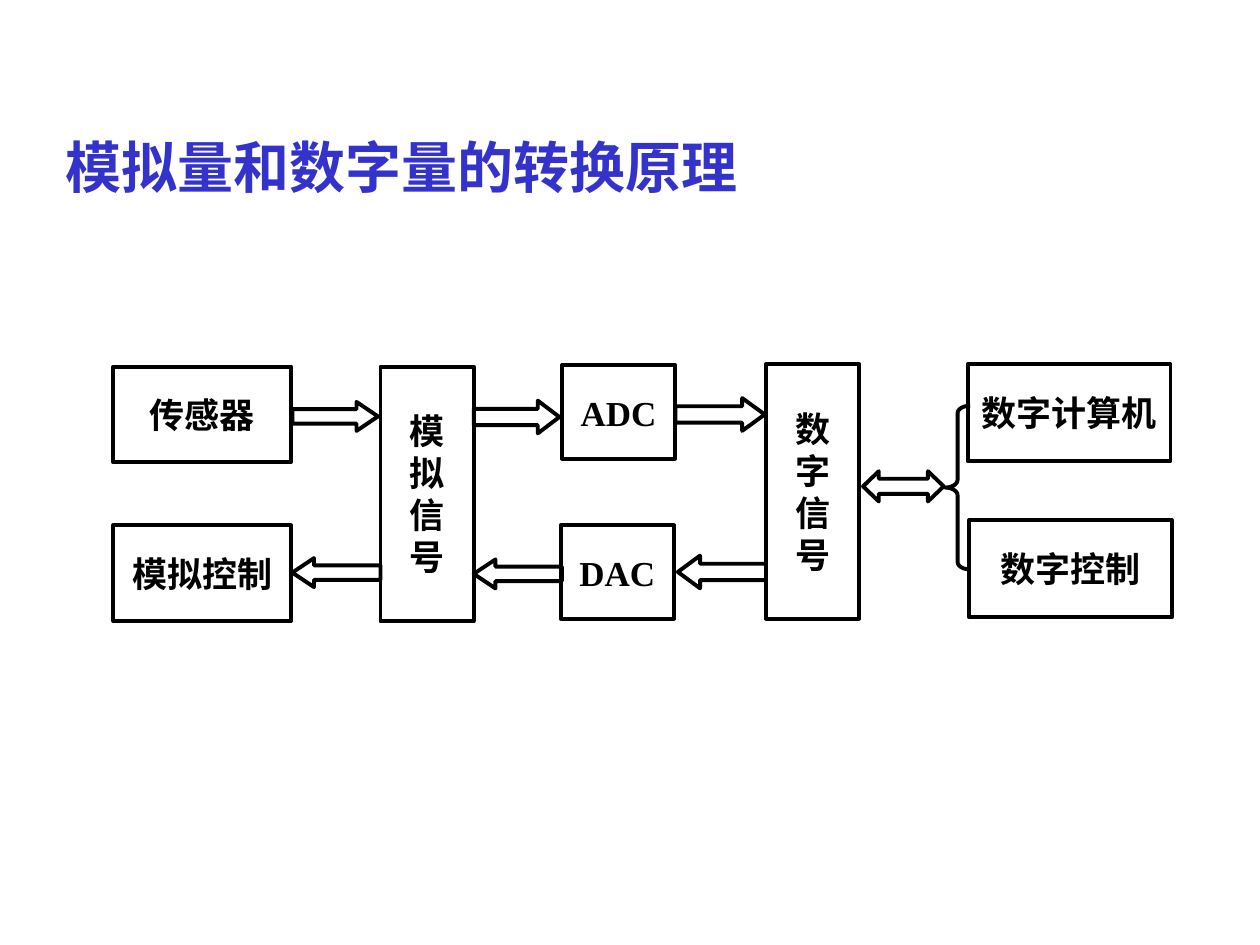
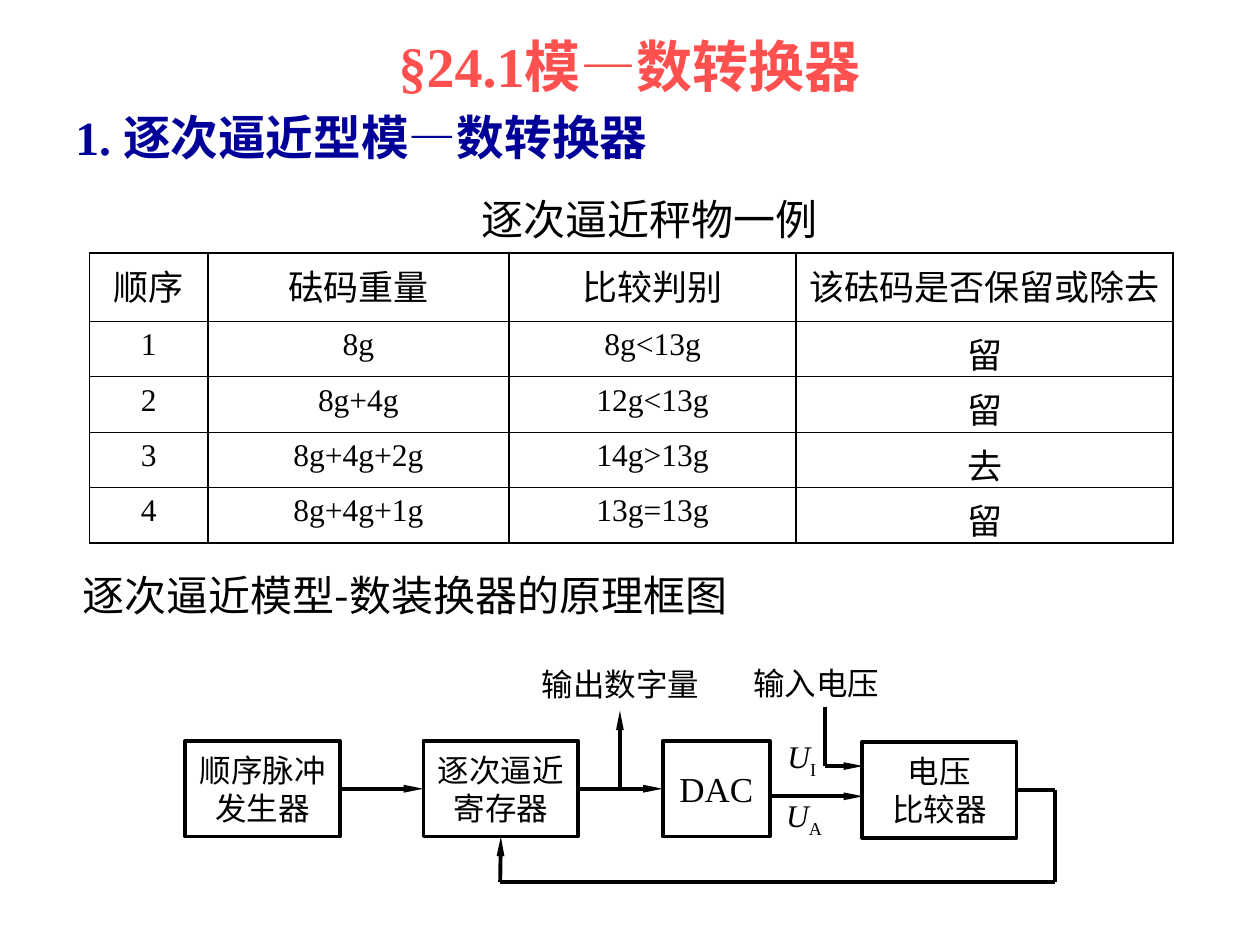
from lxml import etree
from pptx import Presentation
from pptx import util as u
from pptx.dml.color import RGBColor
from pptx.enum import shapes, text
from pptx.oxml.ns import qn

PX = 9144  # 100 px to the inch
SERIF = "Times New Roman"
BLACK, WHITE = "000000", "FFFFFF"
BLUE, NAVY, RED = "3333CC", "000099", "FF5050"
LEFT, CENTER = text.PP_ALIGN.LEFT, text.PP_ALIGN.CENTER
SHAPE = shapes.MSO_SHAPE
TOP, LEFT_SIDE, BOTTOM, RIGHT_SIDE = range(4)


def px(*values):
    return [u.Emu(v * PX) for v in values]


def rgb(value):
    return RGBColor.from_string(value)


def style(p, size, color=BLACK, bold=False, align=LEFT, font=SERIF):
    p.alignment = align
    p.font.name, p.font.size, p.font.bold = font, u.Pt(size), bold
    p.font.color.rgb = rgb(color)


def add_text(slide, rect, words, size, **looks):
    sp = slide.shapes.add_textbox(*px(*rect))
    tf = sp.text_frame
    tf.word_wrap = True
    p = tf.paragraphs[0]
    p.text = words
    style(p, size, **looks)
    return p


def add_symbol(slide, x, y, letter, subscript):
    """Italic quantity with an upright subscript."""
    p = add_text(slide, (x, y, 52, 44), "", 18)
    for part in (letter, subscript):
        r = p.add_run()
        r.text = part
        r.font.italic = part == letter
    r.font._element.set("baseline", "-25000")


def add_outline(slide, kind, rect, width=2.25, fill=None, adjust=()):
    sp = slide.shapes.add_shape(kind, *px(*rect))
    sp.shadow.inherit = False
    if fill:
        sp.fill.solid()
        sp.fill.fore_color.rgb = rgb(fill)
    else:
        sp.fill.background()
    sp.line.color.rgb = rgb(BLACK)
    sp.line.width = u.Pt(width)
    for i, value in enumerate(adjust):
        sp.adjustments[i] = value
    return sp


def add_box(slide, rect, lines, size, width=2.25, bold=False, side=0):
    """Framed block; side is the left and right inset."""
    sp = add_outline(slide, SHAPE.RECTANGLE, rect, width)
    tf = sp.text_frame
    tf.word_wrap = True
    tf.vertical_anchor = text.MSO_ANCHOR.MIDDLE
    tf.margin_left, tf.margin_right = px(side, side)
    tf.margin_top = tf.margin_bottom = 0
    for i, line in enumerate(lines):
        p = tf.add_paragraph() if i else tf.paragraphs[0]
        p.text = line
        style(p, size, bold=bold, align=CENTER)
    return sp


def add_line(slide, start, end, arrow=False, begin=None, finish=None):
    """Straight line; begin and finish are (box, side) joints."""
    line = slide.shapes.add_connector(shapes.MSO_CONNECTOR.STRAIGHT,
                                      *px(*start, *end))
    if begin:
        line.begin_connect(*begin)
    if finish:
        line.end_connect(*finish)
    line.line.color.rgb = rgb(BLACK)
    line.line.width = u.Pt(2.25)
    if arrow:
        etree.SubElement(line.line._get_or_add_ln(), qn("a:tailEnd"),
                         type="triangle", w="sm", len="lg")
    etree.SubElement(line._element.spPr, qn("a:effectLst"))


def set_borders(cell, widths):
    tc_pr = cell._tc.get_or_add_tcPr()
    for side, width in zip("LRTB", widths):
        ln = etree.SubElement(tc_pr, qn("a:ln" + side), w=str(u.Pt(width)))
        fill = etree.SubElement(ln, qn("a:solidFill"))
        etree.SubElement(fill, qn("a:srgbClr"), val=BLACK)


def add_grid(slide, rect, rows, col_widths, row_heights):
    frame = slide.shapes.add_table(len(rows), len(col_widths), *px(*rect))
    table = frame.table
    table.first_row = table.horz_banding = False
    for col, width in zip(table.columns, px(*col_widths)):
        col.width = width
    for row, height in zip(table.rows, px(*row_heights)):
        row.height = height

    def rule(edge, c):
        heavy = edge in (0, 1, len(rows)) or (edge, c) == (4, 0)
        return 0.96 if heavy else 0.34

    for i, row in enumerate(rows):
        for c, words in enumerate(row):
            cell = table.cell(i, c)
            set_borders(cell, (0.96, 0.96, rule(i, c), rule(i + 1, c)))
            cell.fill.background()
            p = cell.text_frame.paragraphs[0]
            p.text = words
            style(p, 20 if i == 0 or c == 3 else 18, align=CENTER)


def build_conversion(slide):
    add_text(slide, (42, 100, 671, 64), "模拟量和数字量的转换原理", 32,
             color=BLUE, bold=True)
    right, left = SHAPE.RIGHT_ARROW, SHAPE.LEFT_ARROW
    for kind, rect, head in (
            (right, (232, 319, 68, 23), 0.74),
            (left, (232, 443, 70, 23), 0.75),
            (right, (376, 318, 68, 26), 0.66),
            (left, (376, 444, 70, 23), 0.75),
            (right, (536, 316, 71, 26), 0.69),
            (left, (538, 441, 70, 26), 0.68),
            (SHAPE.LEFT_RIGHT_ARROW, (685, 374, 64, 24), 0.52)):
        add_outline(slide, kind, rect, fill=WHITE, adjust=(0.5, head))
    add_outline(slide, SHAPE.LEFT_BRACE, (750, 322, 20, 130),
                adjust=(0.3, 0.5))
    for rect, words, side in (
            ((90, 291, 141, 76), "传感器", 0),
            ((90, 417, 141, 76), "模拟控制", 0),
            ((302, 291, 74, 202), "模拟信号", 18),
            ((446, 290, 90, 74), "ADC", 0),
            ((445, 417, 90, 74), "DAC", 0),
            ((608, 289, 74, 202), "数字信号", 18),
            ((768, 289, 161, 77), "数字计算机", 0),
            ((769, 413, 161, 77), "数字控制", 0)):
        add_box(slide, rect, [words], 20, bold=True, side=side)


def build_converter(slide):
    add_text(slide, (50, 20, 900, 63), "§24.1模—数转换器", 32,
             color=RED, bold=True, align=CENTER)
    add_text(slide, (50, 81, 900, 59), "1. 逐次逼近型模—数转换器", 27.2,
             color=NAVY, bold=True)
    add_text(slide, (372, 149, 300, 50), "逐次逼近秤物一例", 24, font="Arial")
    add_grid(slide, (71, 201, 860, 228), (
        ("顺序", "砝码重量", "比较判别", "该砝码是否保留或除去"),
        ("1", "8g", "8g<13g", "留"),
        ("2", "8g+4g", "12g<13g", "留"),
        ("3", "8g+4g+2g", "14g>13g", "去"),
        ("4", "8g+4g+1g", "13g=13g", "留")),
        (94, 239, 228, 299), (54, 44, 44, 44, 44))
    add_text(slide, (56, 447, 600, 50), "逐次逼近模型-数装换器的原理框图", 24,
             font="Noto Sans CJK SC")

    pulse, register, dac, comparator = [
        add_box(slide, (x, y, w, 76), lines, size, width=2)
        for x, y, w, lines, size in (
            (147, 588, 123, ("顺序脉冲", "发生器"), 18),
            (336, 588, 123, ("逐次逼近", "寄存器"), 18),
            (526, 588, 85, ("DAC",), 20),
            (684, 589, 123, ("电压", "比较器"), 18))]
    add_line(slide, (270, 626), (336, 626), True,
             (pulse, RIGHT_SIDE), (register, LEFT_SIDE))
    add_line(slide, (459, 626), (526, 626), True,
             (register, RIGHT_SIDE), (dac, LEFT_SIDE))
    add_line(slide, (611, 632), (685, 632), True)
    add_line(slide, (492, 626), (492, 564), True)
    add_line(slide, (655, 561), (655, 608))
    add_line(slide, (655, 608), (685, 608), True)
    add_line(slide, (807, 627), (837, 627), begin=(comparator, RIGHT_SIDE))
    add_line(slide, (837, 627), (837, 700))
    add_line(slide, (837, 700), (397, 700))
    add_line(slide, (397, 700), (397, 664), True, finish=(register, BOTTOM))

    add_text(slide, (410, 523, 165, 50), "输出数字量", 18, align=CENTER)
    add_text(slide, (588, 522, 130, 44), "输入电压", 18)
    add_symbol(slide, 615, 580, "U", "I")
    add_symbol(slide, 614, 627, "U", "A")


def main():
    prs = Presentation()
    prs.slide_width, prs.slide_height = px(1000, 750)
    for build in (build_conversion, build_converter):
        build(prs.slides.add_slide(prs.slide_layouts[6]))
    prs.save("out.pptx")


if __name__ == "__main__":
    main()
